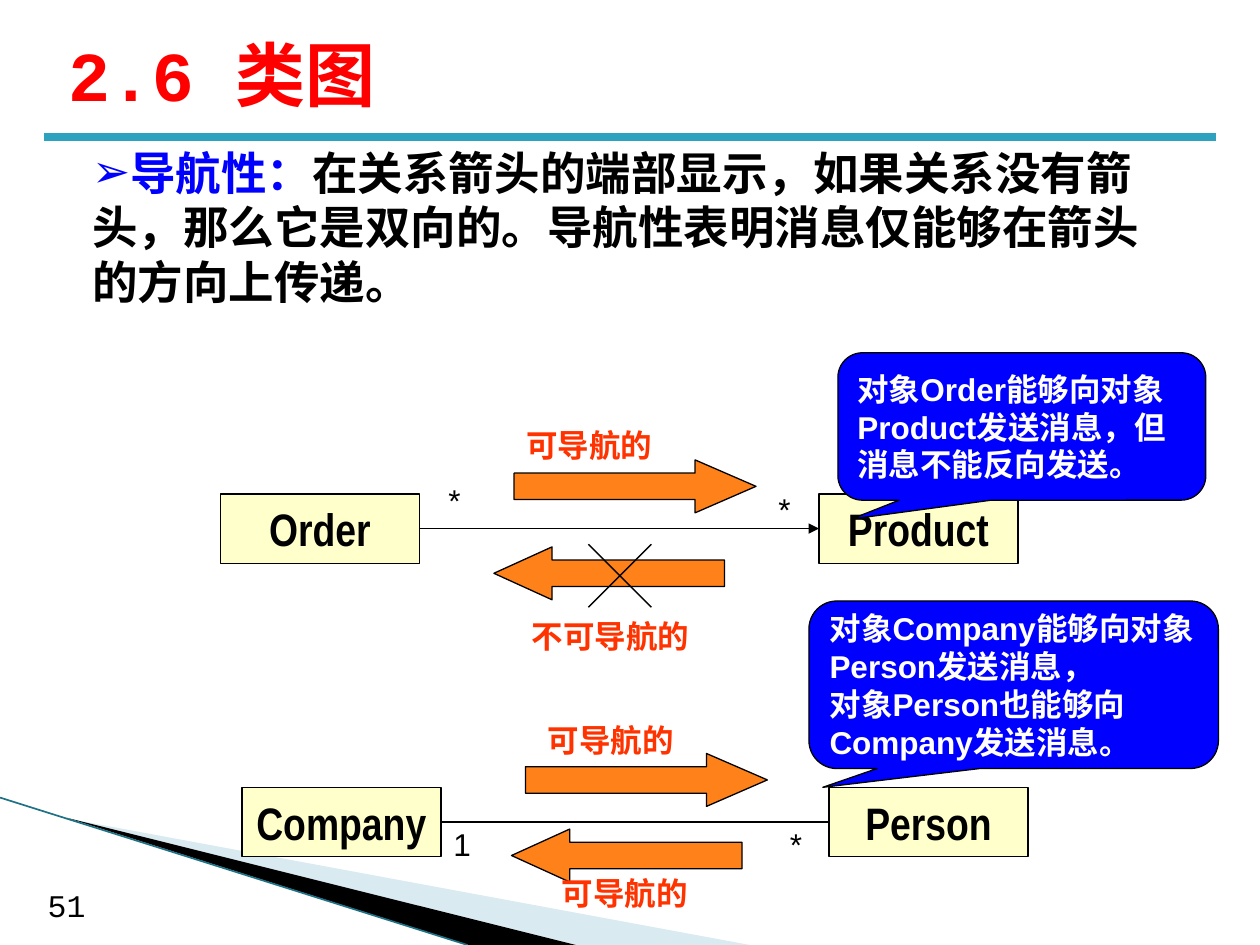
from dataclasses import dataclass

from lxml import etree
from pptx import Presentation
from pptx.dml.color import RGBColor
from pptx.enum.shapes import MSO_CONNECTOR, MSO_SHAPE
from pptx.enum.text import MSO_ANCHOR, MSO_AUTO_SIZE, PP_ALIGN
from pptx.oxml.ns import qn
from pptx.util import Inches, Pt

STRAIGHT = MSO_CONNECTOR.STRAIGHT
RECTANGLE = MSO_SHAPE.RECTANGLE
RIGHT_ARROW, LEFT_ARROW = MSO_SHAPE.RIGHT_ARROW, MSO_SHAPE.LEFT_ARROW
CALLOUT = MSO_SHAPE.ROUNDED_RECTANGULAR_CALLOUT
LEFT, CENTER = PP_ALIGN.LEFT, PP_ALIGN.CENTER
TOP, MIDDLE = MSO_ANCHOR.TOP, MSO_ANCHOR.MIDDLE
LEFT_SIDE, RIGHT_SIDE = 1, 3


@dataclass(frozen=True)
class Theme:
    black: str = "000000"
    white: str = "FFFFFF"
    red: str = "FF0000"
    blue: str = "0000FF"
    label: str = "FF3300"
    box: str = "FFFFCC"
    arrow: str = "FF8119"
    rule: str = "2DA2BF"
    pale: str = "A0CBDC"
    edge: str = "1F7285"
    title_size: int = 40
    body_size: int = 26
    text_size: int = 18
    font: str = "Arial"
    narrow: str = "Arial Narrow"
    mono: str = "Courier New"


theme = Theme()


def write(shape, paragraphs, size, font, bold=True, align=LEFT, anchor=TOP, wrap=True):
    """Fill a shape with paragraphs, each a list of (text, colour) runs."""
    frame = shape.text_frame
    frame.word_wrap = wrap
    frame.auto_size = MSO_AUTO_SIZE.NONE
    frame.vertical_anchor = anchor
    for index, runs in enumerate(paragraphs):
        paragraph = frame.add_paragraph() if index else frame.paragraphs[0]
        paragraph.alignment = align
        paragraph.space_before = Pt(0)
        for text, color in runs:
            run = paragraph.add_run()
            run.text = text
            run.font.size = Pt(size)
            run.font.name = font
            run.font.bold = bold
            run.font.color.rgb = RGBColor.from_string(color)


def add_line(start, end, color=theme.black, width=0.75):
    line = slide.shapes.add_connector(STRAIGHT, *map(Inches, start + end))
    line.line.color.rgb = RGBColor.from_string(color)
    line.line.width = Pt(width)
    etree.SubElement(line._element.spPr, qn("a:effectLst"))
    return line


presentation = Presentation()
presentation.slide_width = Inches(10)
presentation.slide_height = Inches(7.5)
slide = presentation.slides.add_slide(presentation.slide_layouts[1])

# Corner decoration and title rule
wedges = [
    ([(0.55, 6.5), (5.95, 7.5), (4.56, 7.5)], theme.pale, 40),
    ([(0.53, 6.49), (4.57, 7.5), (3.72, 7.5)], theme.black, 100),
]
for points, color, opacity in wedges:
    corners = [(Inches(x), Inches(y)) for x, y in points]
    builder = slide.shapes.build_freeform(*corners[0])
    builder.add_line_segments(corners[1:], close=True)
    wedge = builder.convert_to_shape()
    wedge.shadow.inherit = False
    wedge.fill.solid()
    wedge.fill.fore_color.rgb = RGBColor.from_string(color)
    wedge.line.fill.background()
    if opacity < 100:
        fill_color = wedge._element.spPr.find(qn("a:solidFill"))[0]
        etree.SubElement(fill_color, qn("a:alpha"), val=str(opacity * 1000))
add_line((0, 6.33), (3.71, 7.5), theme.edge, 0.95)
add_line((0.35, 1.09), (9.65, 1.09), theme.rule, 4.5)

# Title and explanation
title = slide.shapes.title
title.left, title.top, title.width, title.height = map(Inches, (0.44, 0.16, 9, 0.85))
write(title, [[("2.6 类图", theme.red)]], theme.title_size, theme.mono, anchor=MIDDLE)

body = slide.placeholders[1]
body.left, body.top, body.width, body.height = map(Inches, (0.59, 1.1, 8.58, 1.41))
properties = body.text_frame.paragraphs[0]._p.get_or_add_pPr()
properties.set("marL", str(Inches(0.04)))
properties.set("indent", "0")
etree.SubElement(properties, qn("a:buFont"), typeface=theme.font)
etree.SubElement(properties, qn("a:buChar"), char="➢")
write(body, [[
    ("导航性：", theme.blue),
    ("在关系箭头的端部显示，如果关系没有箭头，那么它是双向的。导航性表明消息仅能够在箭头的方向上传递。", theme.black),
]], theme.body_size, theme.font)

# Filled shapes: kind, position, adjustments, fill
class_boxes = {}
for name, left, top in [("Order", 1.75, 3.92), ("Product", 6.5, 3.92),
                        ("Company", 1.92, 6.25), ("Person", 6.58, 6.25)]:
    class_boxes[name] = (RECTANGLE, (left, top, 1.58, 0.55), (), theme.box, [name])
arrows = [
    (kind, (left, top, width, 0.42), (0.5, head), theme.arrow, [])
    for kind, left, top, width, head in [
        (RIGHT_ARROW, 4.08, 3.65, 1.92, 1.15), (LEFT_ARROW, 3.92, 4.34, 1.83, 1.1),
        (RIGHT_ARROW, 4.17, 5.98, 1.92, 1.15), (LEFT_ARROW, 4.06, 6.58, 1.83, 1.1)]
]
callouts = [
    (CALLOUT, (6.42, 4.77, 3.25, 1.33), (-0.466, 0.612, 0.167), theme.blue,
     ["对象Company能够向对象Person发送消息，", "对象Person也能够向Company发送消息。"]),
    (CALLOUT, (6.65, 2.8, 2.92, 1.17), (-0.463, 0.628, 0.167), theme.blue,
     ["对象Order能够向对象Product发送消息，但消息不能反向发送。"]),
]
boxes = {}
for kind, place, adjustments, color, texts in [*class_boxes.values(), *arrows, *callouts]:
    shape = slide.shapes.add_shape(kind, *map(Inches, place))
    shape.shadow.inherit = False
    for index, value in enumerate(adjustments):
        shape.adjustments[index] = value
    shape.fill.solid()
    shape.fill.fore_color.rgb = RGBColor.from_string(color)
    shape.line.color.rgb = RGBColor.from_string(theme.black)
    shape.line.width = Pt(0.75)
    if kind == RECTANGLE:
        boxes[texts[0]] = shape
        write(shape, [[(texts[0], theme.black)]], theme.body_size, theme.narrow,
              align=CENTER, anchor=MIDDLE, wrap=False)
    elif kind == CALLOUT:
        write(shape, [[(text, theme.white)] for text in texts], theme.text_size,
              theme.font, anchor=MIDDLE)

# Associations, and the cross over the blocked direction
for source, target, directed in [("Order", "Product", True), ("Company", "Person", False)]:
    association = add_line((0, 0), (1, 1))
    association.begin_connect(boxes[source], RIGHT_SIDE)
    association.end_connect(boxes[target], LEFT_SIDE)
    if directed:
        etree.SubElement(association.line._get_or_add_ln(), qn("a:tailEnd"), type="triangle")
add_line((4.67, 4.32), (5.17, 4.82))
add_line((5.17, 4.32), (4.67, 4.82))

# Labels, multiplicities and page number
labels = [
    ("可导航的", 4.08, 3.33), ("不可导航的", 4.12, 4.85),
    ("可导航的", 4.25, 5.67), ("可导航的", 4.36, 6.89),
]
multiplicities = [("*", 6.08, 3.84), ("*", 3.46, 3.77), ("1", 3.5, 6.5), ("*", 6.17, 6.5)]
small_texts = [(*label, 1.58, theme.label, theme.font, True) for label in labels]
small_texts += [(*mark, 0.5, theme.black, theme.font, False) for mark in multiplicities]
small_texts.append(("51", 0.28, 6.98, 0.79, theme.black, theme.mono, False))
for text, left, top, width, color, font, bold in small_texts:
    text_box = slide.shapes.add_textbox(*map(Inches, (left, top, width, 0.4)))
    write(text_box, [[(text, color)]], theme.text_size, font, bold)

presentation.save("out.pptx")
